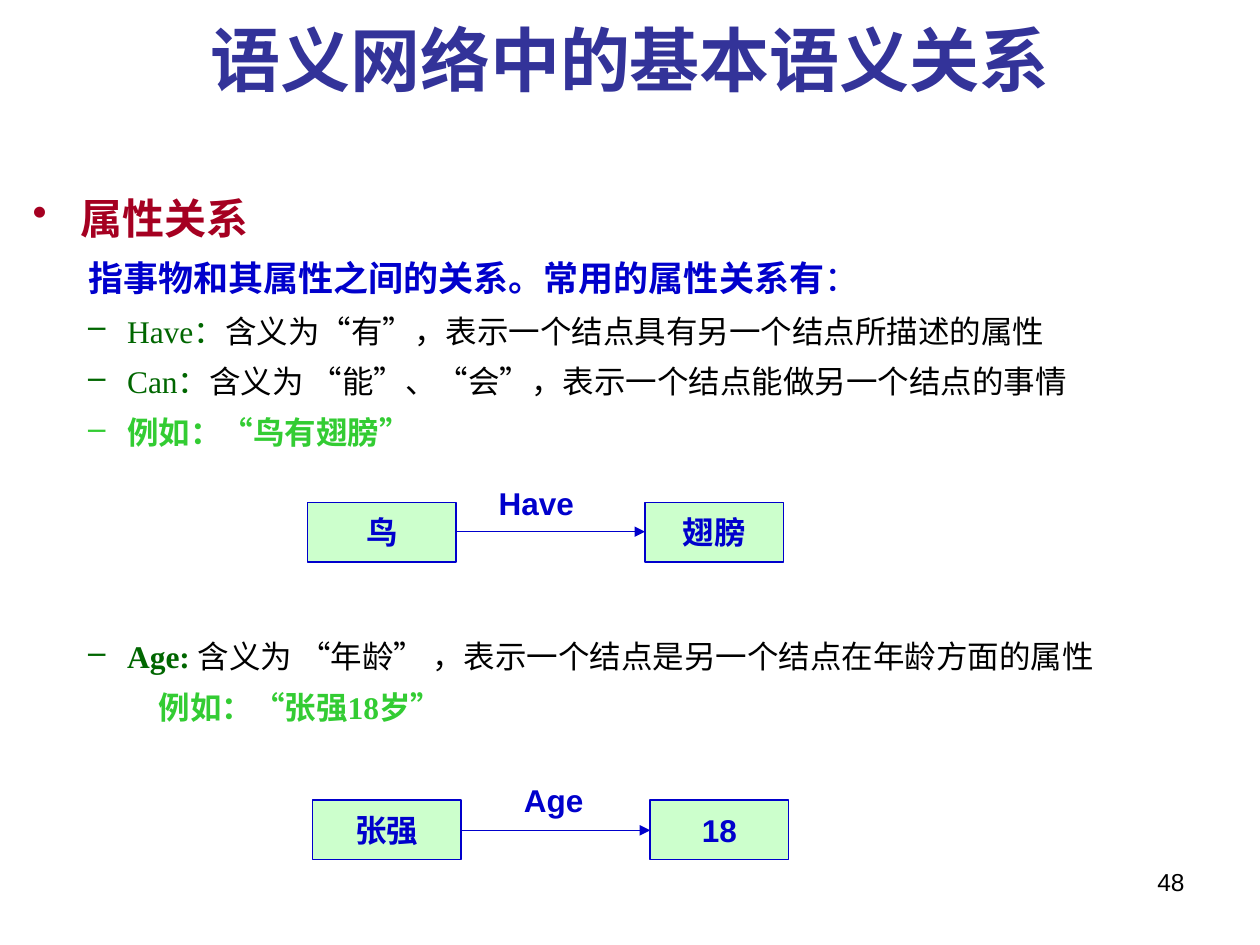
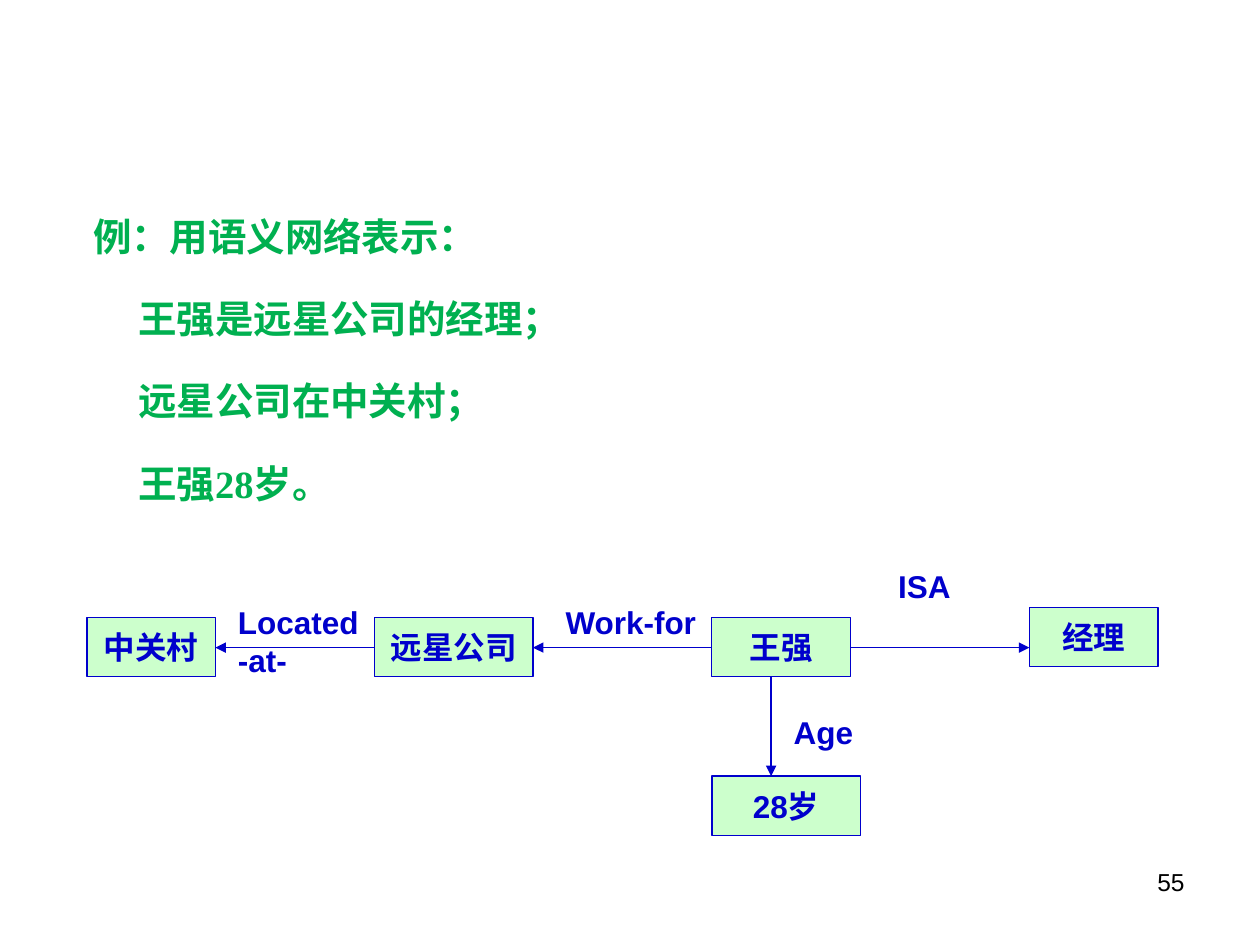
from lxml import etree
from pptx import Presentation
from pptx.dml.color import RGBColor
from pptx.enum import shapes, text
from pptx.oxml import ns
from pptx.util import Inches, Pt

BLUE = RGBColor(0x00, 0x00, 0xCC)
TITLE_BLUE = RGBColor(0x33, 0x33, 0x99)
RED = RGBColor(0xA5, 0x00, 0x21)
DARK_GREEN = RGBColor(0x00, 0x66, 0x00)
LIME = RGBColor(0x33, 0xCC, 0x33)
GREEN = RGBColor(0x00, 0xB0, 0x50)
PALE_GREEN = RGBColor(0xCC, 0xFF, 0xCC)
BLACK = RGBColor(0x00, 0x00, 0x00)
SERIF, SANS, CHINESE = "Times New Roman", "Arial", "Noto Sans CJK SC"
NODE_HEIGHT = 0.47


def write(para, words, size=18, color=BLUE, bold=True, font=SANS, align=None,
          line=None, before=0, left=0, hang=0, bullet=None):
    span = para.add_run()
    span.text = words
    span.font.size = Pt(size)
    span.font.bold = bold
    span.font.name = font
    span.font.color.rgb = color
    etree.SubElement(span.font._element, ns.qn("a:ea"), typeface=CHINESE)
    if align is not None:
        para.alignment = align
    if line:
        para.line_spacing = Pt(line)
        para.space_before = Pt(before)
        settings = para._p.get_or_add_pPr()
        settings.set("marL", str(Inches(left)))
        settings.set("indent", str(Inches(-hang)))
        if bullet:
            etree.SubElement(settings, ns.qn("a:buChar"), char=bullet)


def add_frame(page, left, top, width, height):
    frame = page.shapes.add_textbox(
        Inches(left), Inches(top), Inches(width), Inches(height)).text_frame
    frame.word_wrap = True
    return frame


deck = Presentation()
deck.slide_width, deck.slide_height = Inches(10), Inches(7.5)
relations, example = [deck.slides.add_slide(deck.slide_layouts[6]) for _ in range(2)]

for page, number in ((relations, "48"), (example, "55")):
    frame = add_frame(page, 7.17, 6.83, 2.33, 0.52)
    write(frame.paragraphs[0], number, size=14, color=BLACK, bold=False,
          align=text.PP_ALIGN.RIGHT)

title = add_frame(relations, 0.5, -0.15, 9, 1.23)
title.vertical_anchor = text.MSO_ANCHOR.MIDDLE
write(title.paragraphs[0], "语义网络中的基本语义关系", size=40, color=TITLE_BLUE,
      font=SERIF, align=text.PP_ALIGN.CENTER)

heading = dict(line=35, left=0.38, hang=0.38, bullet="•")
intro = dict(line=32, left=0.44)
item = dict(line=29, left=0.75, hang=0.31, bullet="–")
relation_lines = [
    (heading, [("属性关系", 24, RED, True)]),
    (intro, [("指事物和其属性之间的关系。常用的属性关系有", 20, BLUE, True),
             ("：", 20, BLUE, False)]),
    (item, [("Have：", 18, DARK_GREEN, False),
            ("含义为“有”，表示一个结点具有另一个结点所描述的属性", 18, BLACK, False)]),
    (item, [("Can：", 18, DARK_GREEN, False),
            ("含义为 “能”、“会”，表示一个结点能做另一个结点的事情", 18, BLACK, False)]),
    (item, [("例如：“鸟有翅膀”", 18, LIME, True)]),
    (dict(item, before=99), [
        ("Age: ", 18, DARK_GREEN, True),
        ("含义为 “年龄” ，表示一个结点是另一个结点在年龄方面的属性", 18, BLACK, False)]),
    (dict(line=29, left=1), [("例如：“张强18岁”", 18, LIME, True)]),
]
frame = add_frame(relations, 0.16, 1.39, 9.72, 6.11)
for index, (layout, spans) in enumerate(relation_lines):
    para = frame.add_paragraph() if index else frame.paragraphs[0]
    for position, (words, size, color, bold) in enumerate(spans):
        write(para, words, size=size, color=color, bold=bold, font=SERIF,
              **({} if position else layout))

frame = add_frame(example, 0, 1.59, 9.73, 4.84)
facts = ["例：用语义网络表示：", "王强是远星公司的经理；", "远星公司在中关村；", "王强28岁。"]
for index, fact in enumerate(facts):
    para = frame.add_paragraph() if index else frame.paragraphs[0]
    write(para, fact, size=22, color=GREEN, font=SERIF, line=30,
          before=17 if index else 0, left=1 if index else 0.64)

nodes = [
    (relations, "鸟", 2.44, 3.99, 1.18),
    (relations, "翅膀", 5.12, 3.99, 1.1),
    (relations, "张强", 2.48, 6.35, 1.18),
    (relations, "18", 5.16, 6.35, 1.1),
    (example, "中关村", 0.69, 4.9, 1.02),
    (example, "远星公司", 2.97, 4.9, 1.26),
    (example, "王强", 5.65, 4.9, 1.1),
    (example, "经理", 8.17, 4.82, 1.02),
    (example, "28岁", 5.65, 6.16, 1.18),
]
for page, words, left, top, width in nodes:
    box = page.shapes.add_shape(
        shapes.MSO_SHAPE.RECTANGLE, Inches(left), Inches(top), Inches(width),
        Inches(NODE_HEIGHT))
    box.shadow.inherit = False
    box.fill.solid()
    box.fill.fore_color.rgb = PALE_GREEN
    box.line.color.rgb = BLUE
    box.line.width = Pt(0.75)
    box.text_frame.word_wrap = False
    box.text_frame.vertical_anchor = text.MSO_ANCHOR.MIDDLE
    write(box.text_frame.paragraphs[0], words, align=text.PP_ALIGN.CENTER)

arrows = [
    (relations, 3.62, 4.22, 5.12, 4.22),
    (relations, 3.66, 6.59, 5.16, 6.59),
    (example, 2.97, 5.14, 1.71, 5.14),
    (example, 5.65, 5.14, 4.23, 5.14),
    (example, 6.75, 5.14, 8.17, 5.14),
    (example, 6.12, 5.37, 6.12, 6.16),
]
for page, *ends in arrows:
    arrow = page.shapes.add_connector(
        shapes.MSO_CONNECTOR.STRAIGHT, *[Inches(end) for end in ends])
    arrow.line.color.rgb = BLUE
    arrow.line.width = Pt(0.75)
    etree.SubElement(arrow.line._get_or_add_ln(), ns.qn("a:tailEnd"), type="triangle")
    etree.SubElement(arrow._element.spPr, ns.qn("a:effectLst"))

labels = [
    (relations, "Have", 3.86, 3.79, 1.02, 0.4),
    (relations, "Age", 4.06, 6.15, 0.71, 0.4),
    (example, "Located-at-", 1.79, 4.74, 1.18, 0.7),
    (example, "Work-for", 4.39, 4.74, 1.34, 0.4),
    (example, "ISA", 7.03, 4.45, 0.88, 0.4),
    (example, "Age", 6.2, 5.61, 0.79, 0.4),
]
for page, words, *place in labels:
    write(add_frame(page, *place).paragraphs[0], words)

deck.save("out.pptx")
